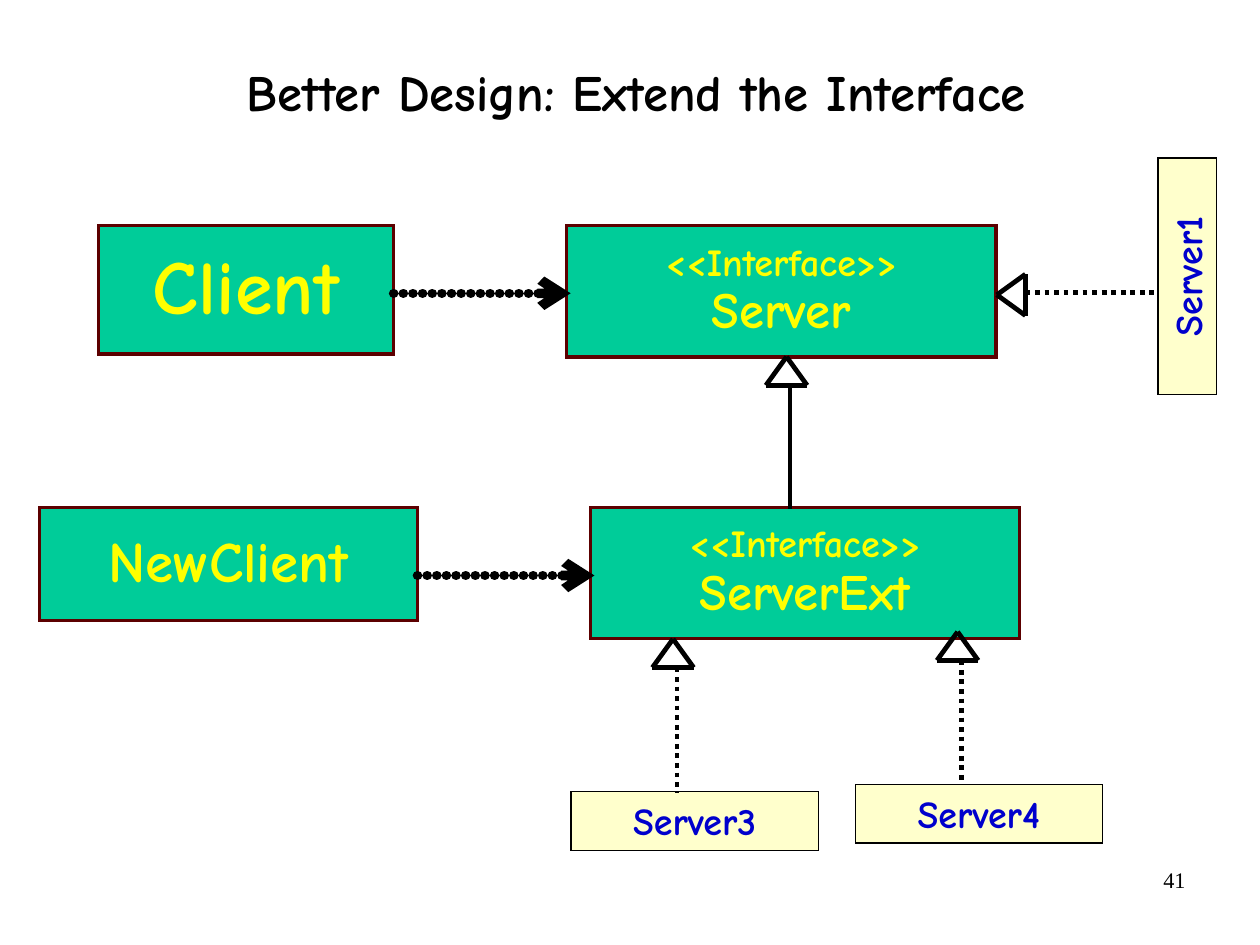
"""Build the class diagram slide on extending an interface."""
from lxml import etree
from pptx import Presentation
from pptx.dml.color import RGBColor
from pptx.enum.dml import MSO_LINE
from pptx.enum.shapes import MSO_CONNECTOR, MSO_SHAPE
from pptx.enum.text import MSO_ANCHOR, MSO_AUTO_SIZE, PP_ALIGN
from pptx.oxml.ns import qn
from pptx.util import Pt

RECTANGLE, STRAIGHT = MSO_SHAPE.RECTANGLE, MSO_CONNECTOR.STRAIGHT
DOTTED = MSO_LINE.ROUND_DOT
TOP, MIDDLE = MSO_ANCHOR.TOP, MSO_ANCHOR.MIDDLE
CENTER, RIGHT = PP_ALIGN.CENTER, PP_ALIGN.RIGHT
NO_FIT = MSO_AUTO_SIZE.NONE

THEME = {
    "black": RGBColor(0x00, 0x00, 0x00),
    "green": RGBColor(0x00, 0xCC, 0x99),
    "maroon": RGBColor(0x5C, 0x00, 0x00),
    "yellow": RGBColor(0xFF, 0xFF, 0x00),
    "cream": RGBColor(0xFF, 0xFF, 0xCC),
    "blue": RGBColor(0x00, 0x00, 0xCC),
    "diagram font": "Comic Neue",
    "number font": "Times New Roman",
    "title size": 32,
    "client size": 48,
    "new client size": 36,
    "interface size": 32,
    "label size": 24,
    "number size": 14,
}


def write(frame, lines, color, font="diagram font", bold=True, align=CENTER,
          spacing=1.0, anchor=TOP, margins=(8, 4)):
    """Fill a text frame with (text, size name) lines."""
    across, down = margins
    frame_format = {
        "word_wrap": True, "auto_size": NO_FIT, "vertical_anchor": anchor,
        "margin_left": Pt(across), "margin_right": Pt(across),
        "margin_top": Pt(down), "margin_bottom": Pt(down),
    }
    for name, value in frame_format.items():
        setattr(frame, name, value)
    for index, (text, size) in enumerate(lines):
        paragraph = frame.add_paragraph() if index else frame.paragraphs[0]
        paragraph.alignment = align
        paragraph.line_spacing = spacing
        run = paragraph.add_run()
        run.text = text
        font_format = {"name": THEME[font], "size": Pt(THEME[size]), "bold": bold}
        for name, value in font_format.items():
            setattr(run.font, name, value)
        run.font.color.rgb = THEME[color]


def connect(start, end, width, dash=None):
    """Draw a black line and return its outline element."""
    link = slide.shapes.add_connector(STRAIGHT, *map(Pt, start + end))
    link.line.color.rgb = THEME["black"]
    link.line.width = Pt(width)
    if dash:
        link.line.dash_style = dash
    properties = link._element.spPr
    etree.SubElement(properties, qn("a:effectLst"))
    return properties.find(qn("a:ln"))


deck = Presentation()
deck.slide_width, deck.slide_height = Pt(793.75), Pt(595.25)
slide = deck.slides.add_slide(deck.slide_layouts[5])

title = slide.shapes.title
title_place = {"left": 62.5, "top": 11, "width": 677, "height": 98.5}
for side, length in title_place.items():
    setattr(title, side, Pt(length))
write(title.text_frame, [("Better Design: Extend the Interface", "title size")],
      "black", spacing=0.88, anchor=MIDDLE, margins=(0, 0))

page_number = slide.shapes.add_textbox(Pt(569), Pt(542), Pt(185), Pt(41))
write(page_number.text_frame, [("41", "number size")], "black",
      font="number font", bold=False, align=RIGHT, margins=(7.2, 3.6))

TYPE_LOOK = {"fill": "green", "edge": "maroon", "weight": 2, "ink": "yellow",
             "spacing": 0.9, "anchor": MIDDLE}
SERVER_LOOK = {"fill": "cream", "edge": "black", "weight": 0.75, "ink": "blue",
               "spacing": 1.0, "anchor": TOP}
stereotype = ("<<Interface>>", "label size")
classes = [
    ([("Client", "client size")], (62, 142, 186, 81), 0, TYPE_LOOK),
    ([stereotype, ("Server", "interface size")], (357, 142, 270.5, 83), 0, TYPE_LOOK),
    ([("NewClient", "new client size")], (25, 319.5, 238, 71.5), 0, TYPE_LOOK),
    ([stereotype, ("ServerExt", "interface size")], (372, 319.5, 270.5, 83), 0, TYPE_LOOK),
    ([("Server1", "label size")], (673.5, 155.5, 149, 37), 270, SERVER_LOOK),
    ([("Server3", "label size")], (359.75, 498.5, 155.75, 37), 0, SERVER_LOOK),
    ([("Server4", "label size")], (538.75, 494, 155.75, 37), 0, SERVER_LOOK),
]
for lines, place, turn, look in classes:
    class_box = slide.shapes.add_shape(RECTANGLE, *map(Pt, place))
    class_box.rotation = turn
    class_box.shadow.inherit = False
    class_box.fill.solid()
    class_box.fill.fore_color.rgb = THEME[look["fill"]]
    class_box.line.color.rgb = THEME[look["edge"]]
    class_box.line.width = Pt(look["weight"])
    etree.SubElement(class_box._element.spPr.find(qn("a:ln")), qn("a:miter"), lim="800000")
    write(class_box.text_frame, lines, look["ink"],
          spacing=look["spacing"], anchor=look["anchor"])

USE_LENGTH = 111.5
for left, level in [(248, 184.75), (263, 362.5)]:
    outline = connect((left, level), (left + USE_LENGTH, level), 6)
    outline.set("cap", "rnd")
    dots = etree.SubElement(outline, qn("a:custDash"))
    etree.SubElement(dots, qn("a:ds"), d="1000", sp="100000")
    etree.SubElement(outline, qn("a:round"))
    etree.SubElement(outline, qn("a:tailEnd"), type="arrow")

HEAD_DEPTH, HEAD_HALF = 18, 13
DOWN, ACROSS = (0, 1), (1, 0)
inheritances = [
    ((495.5, 224.75), DOWN, 2.25, 96, None),
    ((628, 185.75), ACROSS, -1.5, 100.5, DOTTED),
    ((424, 402.5), DOWN, 2.5, 96.5, DOTTED),
    ((603.25, 398), DOWN, 2.25, 96.5, DOTTED),
]
for tip, (right, down), drift, reach, dash in inheritances:
    corner_a, corner_b, stem_start, stem_end = [
        (tip[0] + right * along + down * aside, tip[1] + down * along + right * aside)
        for along, aside in [(HEAD_DEPTH, HEAD_HALF), (HEAD_DEPTH, -HEAD_HALF),
                             (HEAD_DEPTH, drift), (reach, drift)]
    ]
    for start, end in [(tip, corner_a), (tip, corner_b), (corner_a, corner_b)]:
        connect(start, end, 3)
    connect(stem_start, stem_end, 3, dash)

deck.save("out.pptx")
